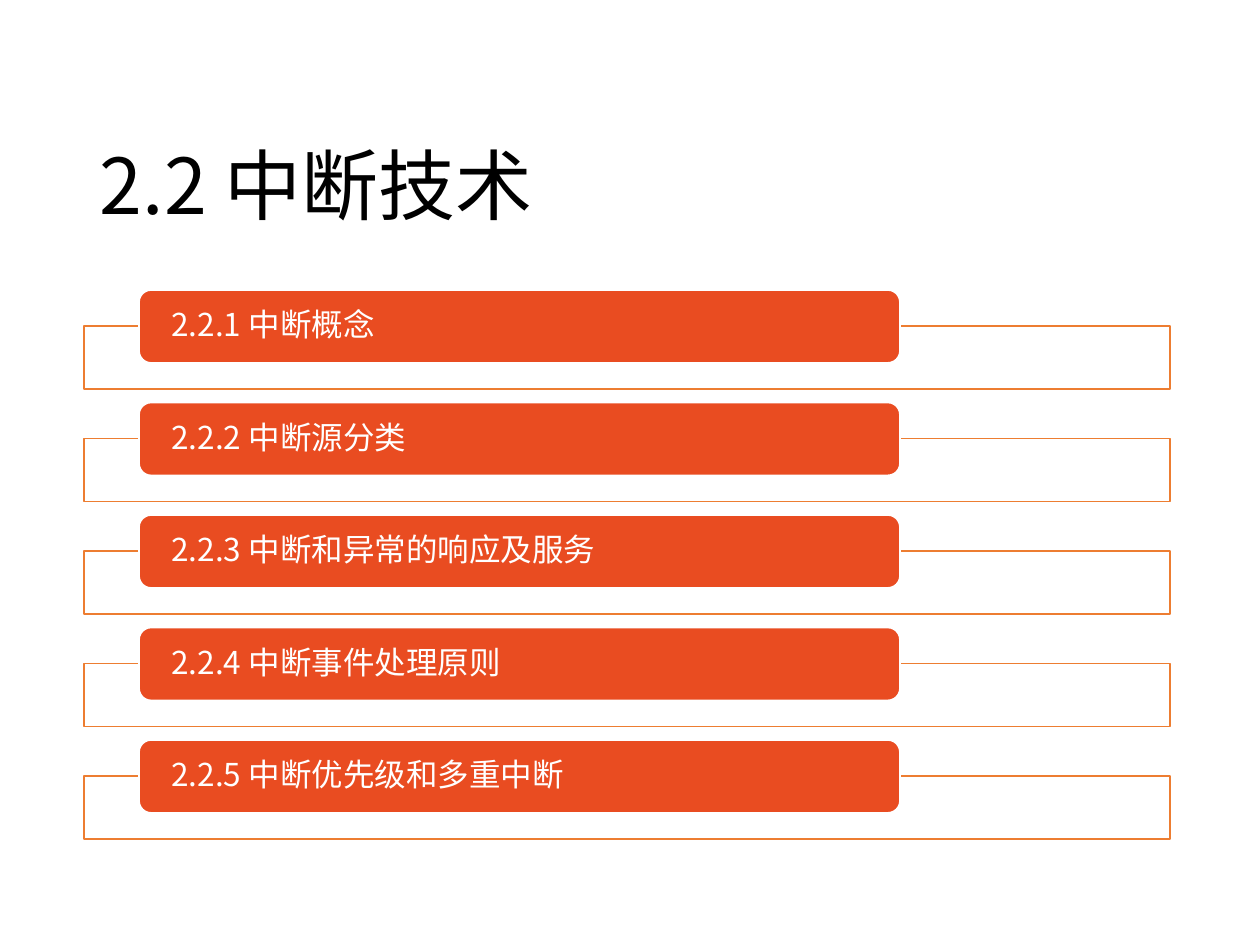
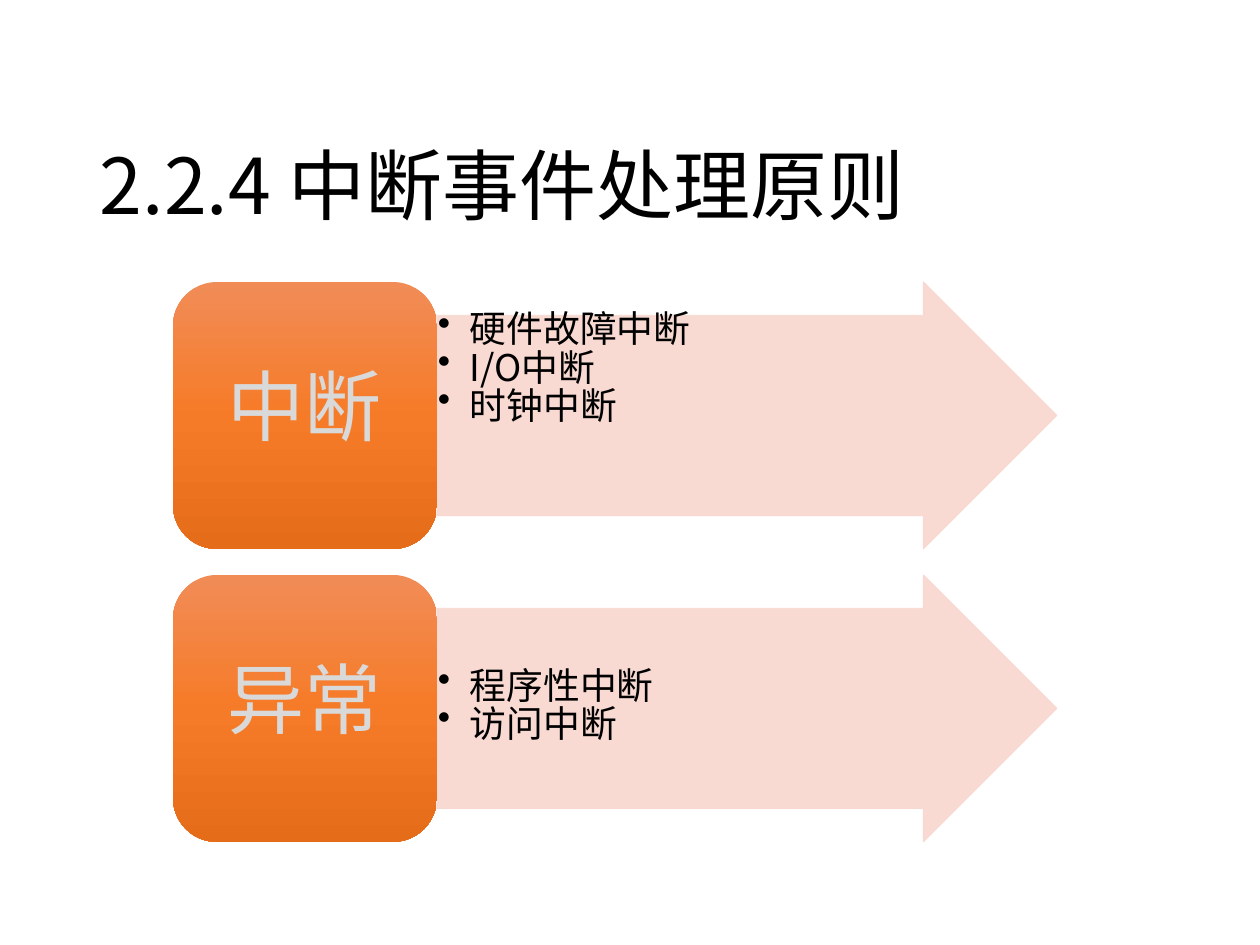
import copy

import pptx
import pptx.dml.color
import pptx.enum.shapes
import pptx.enum.text
import pptx.oxml
import pptx.oxml.ns
import pptx.util

# Content
SECTION_TITLE = "2.2 中断技术"
SECTION_TOPICS = [
    "2.2.1 中断概念",
    "2.2.2 中断源分类",
    "2.2.3 中断和异常的响应及服务",
    "2.2.4 中断事件处理原则",
    "2.2.5 中断优先级和多重中断",
]
PRINCIPLES_TITLE = "2.2.4 中断事件处理原则"
EVENT_KINDS = [
    ("中断", ["硬件故障中断", "I/O中断", "时钟中断"], "TOP"),
    ("异常", ["程序性中断", "访问中断"], "MIDDLE"),
]

# Shared style
FONT = "Noto Sans CJK SC"
COLORS = {
    "text": "000000",
    "white": "FFFFFF",
    "frame": "ED7D31",
    "topic": "E94C21",
    "arrow": "F8D7CE",
    "kind": "D9D9D9",
}
KIND_GRADIENT = [(0, "F18C57"), (0.5, "F67B28"), (1, "E56C19")]
EMU_PER_PX = 914400 / 126
SHAPES = pptx.enum.shapes.MSO_SHAPE
ANCHOR = pptx.enum.text.MSO_ANCHOR
ALIGN = pptx.enum.text.PP_ALIGN


def px(length):
    return pptx.util.Emu(round(length * EMU_PER_PX))


def rgb(hex_color):
    return pptx.dml.color.RGBColor.from_string(hex_color)


def set_opacity(fill_element, percent):
    color = fill_element.find(".//" + pptx.oxml.ns.qn("a:srgbClr"))
    color.append(pptx.oxml.parse_xml(
        f'<a:alpha {pptx.oxml.ns.nsdecls("a")} val="{percent * 1000}"/>'))


def add_block(slide, preset, box, fill=None, line=None, width=1, opacity=None):
    block = slide.shapes.add_shape(preset, *map(px, box))
    block.shadow.inherit = False
    if fill:
        block.fill.solid()
        block.fill.fore_color.rgb = rgb(fill)
        if opacity:
            set_opacity(block._element.spPr.find(pptx.oxml.ns.qn("a:solidFill")), opacity)
    if line:
        block.line.color.rgb = rgb(line)
        block.line.width = pptx.util.Pt(width)
    else:
        block.line.fill.background()
    return block


def add_bullet(paragraph):
    properties = paragraph._p.get_or_add_pPr()
    indent = px(32)
    properties.set("marL", str(indent))
    properties.set("indent", str(-indent))
    properties.append(pptx.oxml.parse_xml(
        f'<a:buChar {pptx.oxml.ns.nsdecls("a")} char="•"/>'))


def write(block, lines, size, color, insets, anchor=ANCHOR.MIDDLE,
          align=ALIGN.LEFT, spacing=0.9, after=0, bullets=False):
    frame = block.text_frame
    frame.word_wrap = True
    frame.vertical_anchor = anchor
    (frame.margin_left, frame.margin_top,
     frame.margin_right, frame.margin_bottom) = map(px, insets)
    for index, line in enumerate(lines):
        paragraph = frame.paragraphs[0] if index == 0 else frame.add_paragraph()
        paragraph.text = line
        paragraph.alignment = align
        paragraph.line_spacing = spacing
        paragraph.space_after = pptx.util.Pt(after)
        if bullets:
            add_bullet(paragraph)
        paragraph.font.size = pptx.util.Pt(size)
        paragraph.font.color.rgb = rgb(color)
        paragraph.font.name = FONT
        # East Asian characters take their typeface from a:ea
        paragraph.font._element.append(pptx.oxml.parse_xml(
            f'<a:ea {pptx.oxml.ns.nsdecls("a")} typeface="{FONT}"/>'))


def add_titled_slide(deck, text):
    slide = deck.slides.add_slide(deck.slide_layouts[6])
    title = slide.shapes.add_textbox(*map(px, (87, 50, 1086, 183)))
    write(title, [text], 44, COLORS["text"], (13, 6, 13, 2), ANCHOR.BOTTOM)
    return slide


def fill_gradient(block, stops):
    block.fill.gradient()
    block.fill.gradient_angle = 270
    first = block.fill.gradient_stops[0]._gs
    for _ in range(len(stops) - len(block.fill.gradient_stops)):
        first.addnext(copy.deepcopy(first))
    for stop, (position, color) in zip(block.fill.gradient_stops, stops):
        stop.position = position
        stop.color.rgb = rgb(color)


def build_section(deck):
    slide = add_titled_slide(deck, SECTION_TITLE)
    first_top, step = 290, 112.5
    for index, topic in enumerate(SECTION_TOPICS):
        top = first_top + index * step
        add_block(slide, SHAPES.RECTANGLE, (84, top + 36, 1086, 63),
                  COLORS["white"], COLORS["frame"], opacity=90)
        bar = add_block(slide, SHAPES.ROUNDED_RECTANGLE, (139, top, 761, 73),
                        COLORS["topic"], COLORS["white"])
        write(bar, [topic], 18, COLORS["white"], (29, 0, 29, 0))


def build_principles(deck):
    slide = add_titled_slide(deck, PRINCIPLES_TITLE)
    first_top, step, height = 282, 293, 267
    square_left, square_width = 173, 264
    for index, (kind, events, anchor) in enumerate(EVENT_KINDS):
        top = first_top + index * step
        # Arrow with its list of events
        arrow = add_block(slide, SHAPES.RIGHT_ARROW,
                          (square_left + square_width, top, 620, height),
                          COLORS["arrow"], COLORS["arrow"], 0.5, 90)
        arrow.adjustments[0] = 0.75
        set_opacity(arrow.line._ln, 90)
        write(arrow, events, 21, COLORS["text"], (1, 1, 1, 1), ANCHOR[anchor],
              spacing=0.75, after=3, bullets=True)
        # Square naming the kind
        square = add_block(slide, SHAPES.ROUNDED_RECTANGLE,
                           (square_left, top, square_width, height))
        fill_gradient(square, KIND_GRADIENT)
        write(square, [kind], 44, COLORS["kind"], (23, 11, 23, 21), align=ALIGN.CENTER)


def main():
    deck = pptx.Presentation()
    deck.slide_width, deck.slide_height = px(1260), px(945)
    build_section(deck)
    build_principles(deck)
    deck.save("out.pptx")


if __name__ == "__main__":
    main()
